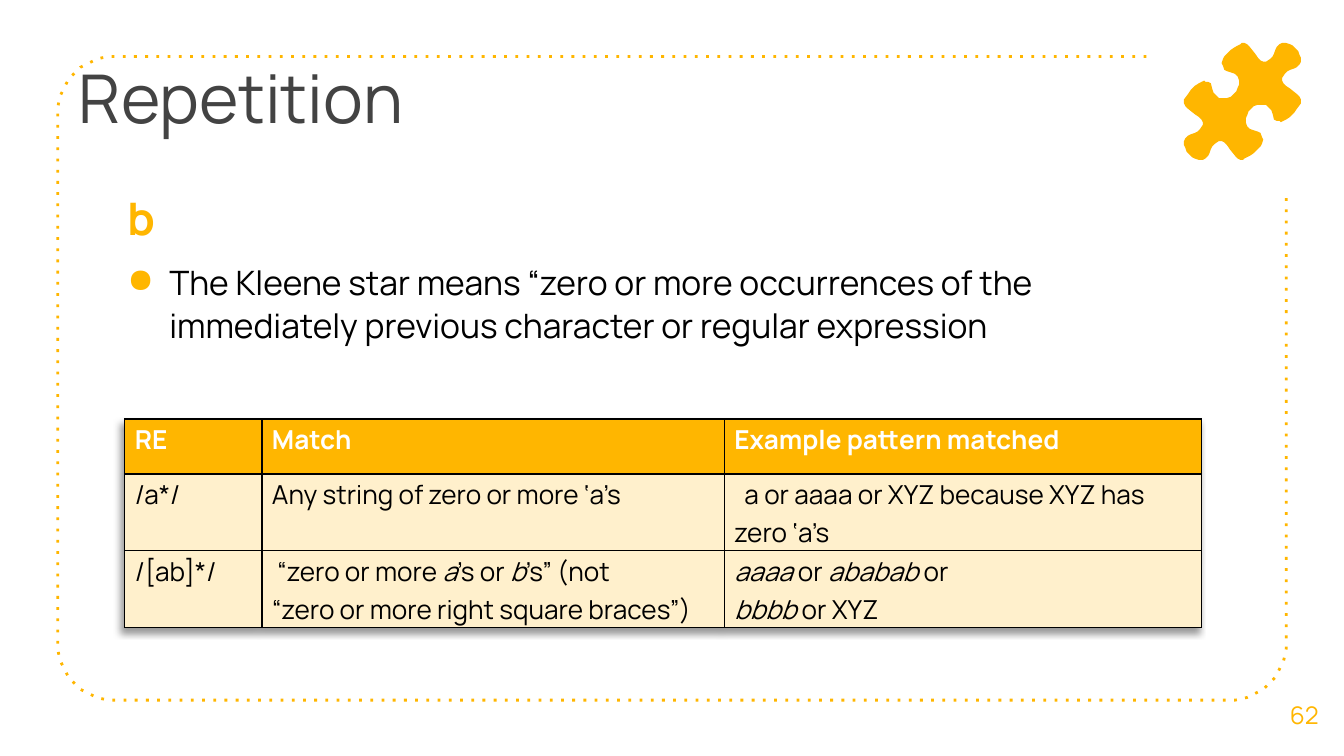
"""Build the slide on repetition in regular expressions."""
from math import cos, sin, radians
from pptx import Presentation, util as u
from pptx.dml.color import RGBColor
from pptx.enum import text
from pptx.oxml import parse_xml
from pptx.oxml.ns import nsdecls, qn

TITLE = "Repetition"
LEAD = "b"
POINT = ("The Kleene star means “zero or more occurrences of the "
         "immediately previous character or regular expression")
PAGE = "62"
ROWS = [
    ["RE", "Match", "Example pattern matched"],
    ["/a*/", "Any string of zero or more ‘a’s",
     "a or aaaa or XYZ because XYZ has zero ‘a’s"],
    ["/[ab]*/",
     " “zero or more _a_’s or _b_’s” (not\n“zero or more right square braces”)",
     "_aaaa _or _ababab _or\n_bbbb _or XYZ"],
]
COLS = [2.59, 8.74, 9.01]
HIGHS = [1.04, 1.45, 1.45]
INDENTS = {(1, 2): 0.19}
HALF = [
    (43, 0), (42, 1), (38, 3), (35, 5), (32, 8), (30, 10), (29, 12), (28, 15),
    (29, 17), (30, 20), (32, 21), (35, 22), (38, 23), (40, 25), (41, 28),
    (41, 31), (40, 33), (39, 36), (37, 38), (35, 40), (32, 41), (29, 41),
    (26, 41), (24, 39), (22, 37), (21, 34), (20, 30), (18, 29), (16, 29),
    (15, 28), (13, 29), (11, 30), (8, 32), (5, 35), (3, 38), (0, 42), (0, 45),
    (1, 47), (3, 49), (8, 53), (11, 55), (13, 57), (14, 59), (14, 61),
    (12, 64), (10, 66), (8, 67), (5, 68), (3, 69), (1, 71), (0, 73), (0, 76),
    (1, 78), (2, 81), (4, 83), (6, 85), (8, 86), (11, 87), (14, 87), (16, 86),
    (18, 84), (19, 82), (20, 79), (21, 77), (23, 75), (26, 73), (28, 73),
    (30, 74), (32, 76), (34, 79), (38, 84), (40, 86), (42, 87),
]
SPAN = 87
THEME = {
    "font": "Manrope", "gold": "FFB600", "cream": "FFF0CC", "ink": "000000",
    "white": "FFFFFF", "gray": "434343",
    "title": 36, "lead": 24, "body": 18, "cell": 14, "page": 13,
}
UNIT = u.Cm(0.0254)

deck = Presentation()
deck.slide_width, deck.slide_height = u.Cm(25.4), u.Cm(14.29)
slide = deck.slides.add_slide(deck.slide_layouts[6])


def tint(name):
    return RGBColor.from_string(THEME[name])


def paint(fill, name):
    fill.solid()
    fill.fore_color.rgb = tint(name)


def apply(item, values):
    for key, value in values.items():
        setattr(item, key, value)


def write(para, words, size, color, bold=False, **form):
    apply(para, form)
    for i, part in enumerate(words.split("_")):
        for j, line in enumerate(part.split("\n")):
            if j:
                para.add_line_break()
            if line:
                run = para.add_run()
                run.text = line
                apply(run.font, {"name": THEME["font"], "bold": bold,
                                 "size": u.Pt(THEME[size]), "italic": i % 2 == 1})
                run.font.color.rgb = tint(color)


def box(left, top, width, height, anchor=text.MSO_ANCHOR.TOP):
    frame = slide.shapes.add_textbox(*map(u.Cm, (left, top, width, height))).text_frame
    sides = ("left", "right", "top", "bottom")
    apply(frame, {f"margin_{s}": u.Cm(0.25) for s in sides})
    apply(frame, {"word_wrap": True, "vertical_anchor": anchor})
    return frame


def trace(points, close):
    pen = slide.shapes.build_freeform(*points[0], scale=UNIT)
    pen.add_line_segments(points[1:], close=close)
    shape = pen.convert_to_shape()
    shape.shadow.inherit = False
    return shape


def arc(x, y, start, r=42):
    turns = [radians(start - 6 * n) for n in range(16)]
    return [(x + r * cos(t), y - r * sin(t)) for t in reversed(turns)]


def corner(x, y, start):
    return arc(x, y, start + 90)


border = trace([(853, 42)] + corner(85, 84, 90) + corner(85, 479, 180)
               + corner(915, 479, 270) + [(957, 146)], False)
border.fill.background()
border.line.color.rgb = tint("gold")
border.line.width = u.Pt(1.5)
border._element.spPr.find(qn("a:ln")).append(
    parse_xml(f'<a:prstDash {nsdecls("a")} val="dot"/>'))

body = box(2.16, 3.28, 21.11, 2.39)
gaps = {"line_spacing": 1.07, "space_after": u.Pt(8)}
write(body.paragraphs[0], LEAD, "lead", "gold", True, **gaps)
point = body.add_paragraph()
write(point, POINT, "body", "ink", **gaps)
props = point._p.get_or_add_pPr()
props.set("marL", str(u.Cm(0.79)))
props.set("indent", str(-u.Cm(0.79)))
for mark in (f'<a:buClr {nsdecls("a")}><a:srgbClr val="{THEME["gold"]}"/></a:buClr>',
             f'<a:buChar {nsdecls("a")} char="●"/>'):
    props.append(parse_xml(mark))

write(box(1.24, 0.81, 19.08, 2.39).paragraphs[0], TITLE, "title", "gray")
write(box(23.9, 12.75, 1.5, 1.52, text.MSO_ANCHOR.MIDDLE).paragraphs[0],
      PAGE, "page", "gold", alignment=text.PP_ALIGN.CENTER)

whole = HALF + [(SPAN - x, SPAN - y) for x, y in HALF]
puzzle = trace([(881 + x, 32 + y) for x, y in whole], True)
paint(puzzle.fill, "gold")
puzzle.line.fill.background()

table = slide.shapes.add_table(len(ROWS), len(COLS), u.Cm(2.36), u.Cm(7.92),
                               u.Cm(sum(COLS)), u.Cm(sum(HIGHS))).table
apply(table, {"first_row": False, "horz_banding": False})
table._tbl.tblPr.insert(0, parse_xml(
    f'<a:effectLst {nsdecls("a")}><a:outerShdw blurRad="50800" dist="38100" '
    'dir="8100000" algn="tr" rotWithShape="0"><a:srgbClr val="000000">'
    '<a:alpha val="40000"/></a:srgbClr></a:outerShdw></a:effectLst>'))
for col, width in zip(table.columns, COLS):
    col.width = u.Cm(width)
for r, (row, high) in enumerate(zip(ROWS, HIGHS)):
    table.rows[r].height = u.Cm(high)
    for c, words in enumerate(row):
        cell = table.cell(r, c)
        apply(cell, {"margin_left": u.Cm(0.19), "margin_right": u.Cm(0.19),
                     "margin_top": 0, "margin_bottom": 0})
        paint(cell.fill, "cream" if r else "gold")
        para = cell.text_frame.paragraphs[0]
        write(para, words, "cell", "ink" if r else "white", r == 0, line_spacing=1.07)
        if (r, c) in INDENTS:
            para._p.get_or_add_pPr().set("indent", str(u.Cm(INDENTS[r, c])))
        for n, side in enumerate("LRTB"):
            cell._tc.get_or_add_tcPr().insert(n, parse_xml(
                f'<a:ln{side} {nsdecls("a")} w="{u.Pt(0.75)}"><a:solidFill>'
                f'<a:srgbClr val="{THEME["ink"]}"/></a:solidFill></a:ln{side}>'))

deck.save("out.pptx")
